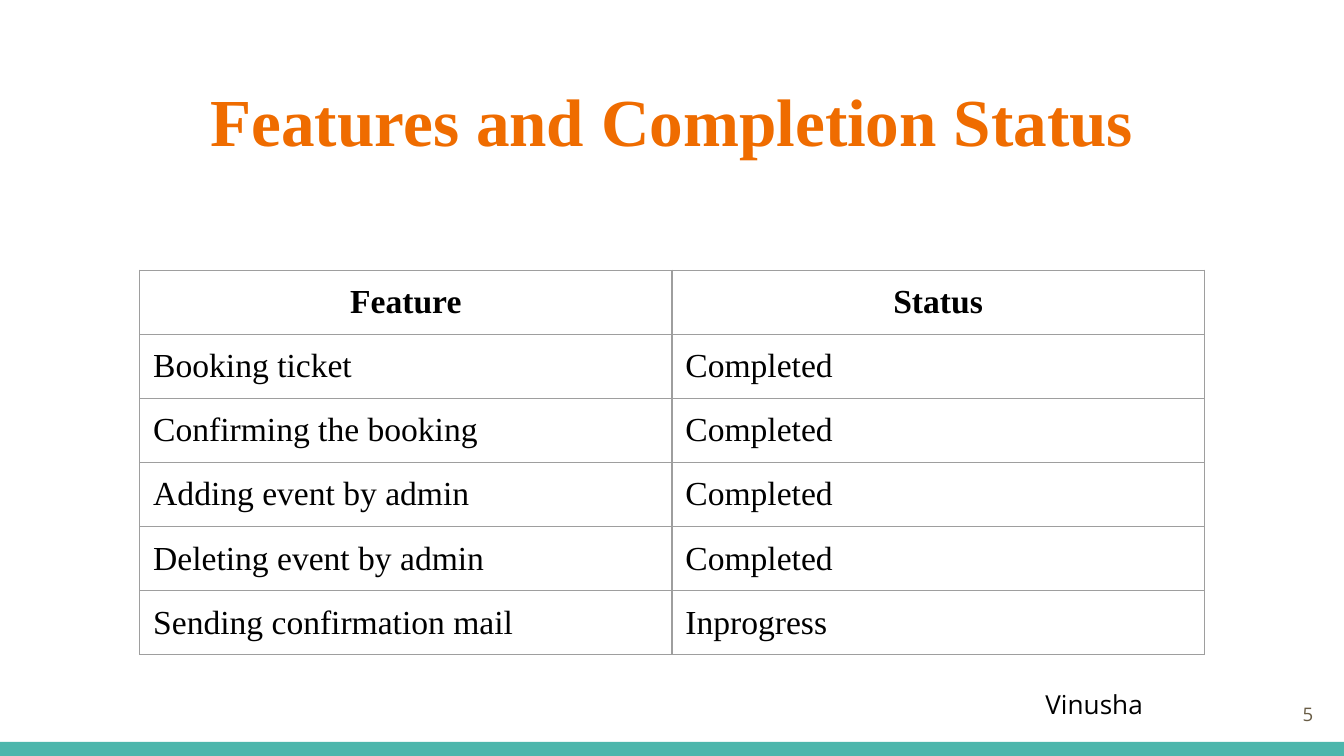
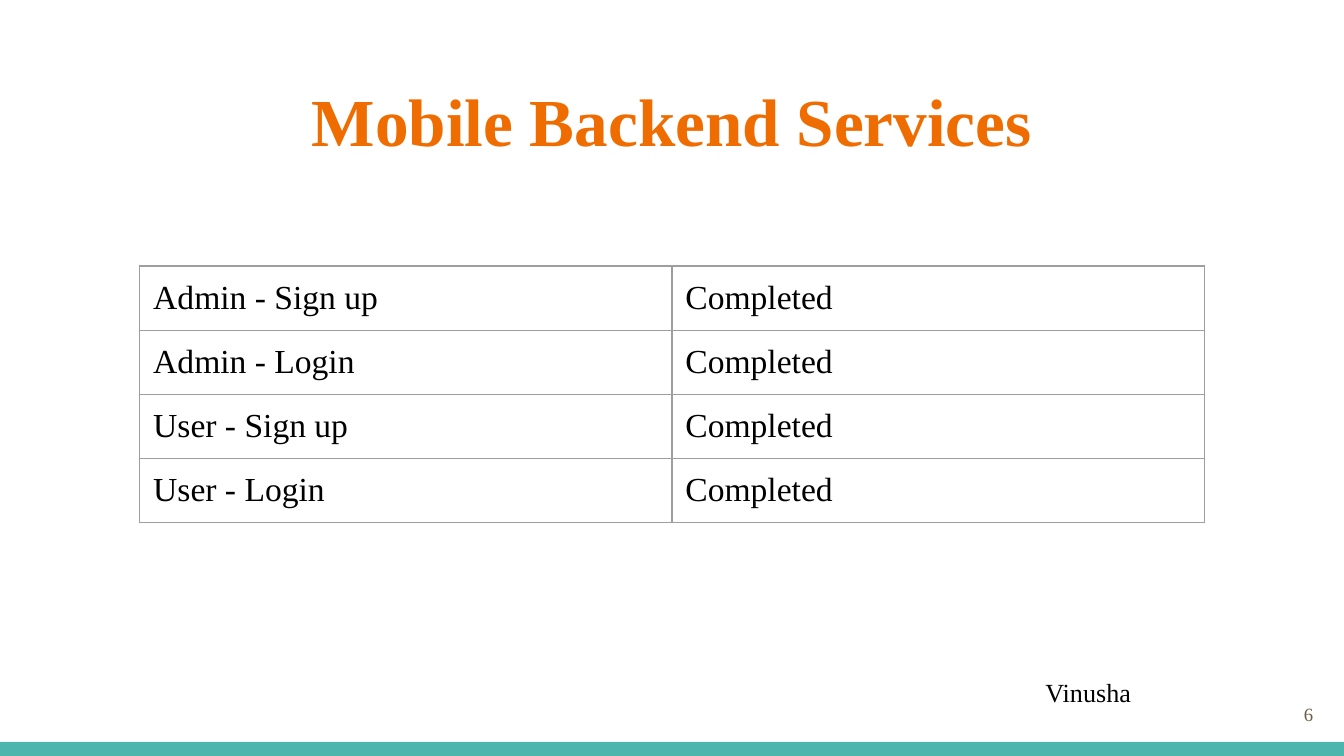
from dataclasses import dataclass

from lxml.etree import SubElement
from pptx import Presentation
from pptx.dml.color import RGBColor
from pptx.enum.shapes import MSO_SHAPE
from pptx.enum.text import MSO_ANCHOR, MSO_AUTO_SIZE, PP_ALIGN
from pptx.oxml.ns import qn
from pptx.util import Inches, Pt

SLIDES = [
    {
        "title": "Features and Completion Status",
        "header": ("Feature", "Status"),
        "rows": [
            ("Booking ticket", "Completed"),
            ("Confirming the booking", "Completed"),
            ("Adding event by admin", "Completed"),
            ("Deleting event by admin", "Completed"),
            ("Sending confirmation mail", "Inprogress"),
        ],
        "table_top": 2.01,
        "row_height": 0.44,
        "author": "Vinusha",
        "author_top": 5.02,
        "number": "5",
        "footer_font": "Open Sans",
    },
    {
        "title": "Mobile Backend Services",
        "header": None,
        "rows": [
            ("Admin - Sign up", "Completed"),
            ("Admin - Login", "Completed"),
            ("User - Sign up", "Completed"),
            ("User - Login", "Completed"),
        ],
        "table_top": 1.98,
        "row_height": 0.42,
        "author": "Vinusha",
        "author_top": 4.93,
        "number": "6",
        "footer_font": "Times New Roman",
    },
]


@dataclass(frozen=True)
class Theme:
    font: str = "Times New Roman"
    accent: str = "EF6C00"
    band: str = "4DB6AC"
    text: str = "000000"
    muted: str = "695D46"
    border: str = "9E9E9E"
    title_size: int = 36
    table_size: int = 18
    author_size: int = 14
    number_size: int = 10
    border_width: float = 0.75


THEME = Theme()
WIDTH = 10
HEIGHT = WIDTH * 9 / 16
BAND_TOP = 5.52
TITLE_BOX = (0.34, 0.49, 9.32, 0.77)
TABLE_LEFT, COLUMN_WIDTH = 1.04, 3.96
AUTHOR_LEFT, AUTHOR_SIZE = 7.68, (1.98, 0.34)
NUMBER_BOX = (9.27, 5.1, 0.6, 0.43)
INSET = Inches(0.1)


def place(shape, left, top, width, height):
    shape.left, shape.top = Inches(left), Inches(top)
    shape.width, shape.height = Inches(width), Inches(height)


def write(frame, text, size, color=THEME.text, font=THEME.font, bold=False,
          align=PP_ALIGN.LEFT):
    paragraph = frame.paragraphs[0]
    paragraph.alignment = align
    run = paragraph.add_run()
    run.text = text
    run.font.name = font
    run.font.size = Pt(size)
    run.font.bold = bold
    run.font.color.rgb = RGBColor.from_string(color)


def set_up_frame(frame, anchor=MSO_ANCHOR.TOP):
    frame.word_wrap = True
    frame.auto_size = MSO_AUTO_SIZE.NONE
    frame.vertical_anchor = anchor
    frame.margin_left = frame.margin_right = INSET
    frame.margin_top = frame.margin_bottom = INSET


def add_text(slide, box, text, size, anchor=MSO_ANCHOR.TOP, **style):
    frame = slide.shapes.add_textbox(*map(Inches, box)).text_frame
    set_up_frame(frame, anchor)
    write(frame, text, size, **style)


def add_title(slide, text):
    title = slide.shapes.title
    place(title, *TITLE_BOX)
    set_up_frame(title.text_frame)
    write(title.text_frame, text, THEME.title_size, color=THEME.accent,
          bold=True, align=PP_ALIGN.CENTER)


def format_cell(cell):
    cell.margin_left = cell.margin_right = INSET
    cell.margin_top = cell.margin_bottom = INSET
    properties = cell._tc.get_or_add_tcPr()
    for side in ("a:lnL", "a:lnR", "a:lnT", "a:lnB"):
        line = SubElement(properties, qn(side), w=str(Pt(THEME.border_width)))
        fill = SubElement(line, qn("a:solidFill"))
        SubElement(fill, qn("a:srgbClr"), val=THEME.border)
    cell.fill.background()


def add_status_table(slide, header, rows, top, row_height):
    lines = ([header] if header else []) + rows
    columns = len(rows[0])
    table = slide.shapes.add_table(
        len(lines), columns, Inches(TABLE_LEFT), Inches(top),
        Inches(columns * COLUMN_WIDTH), Inches(len(lines) * row_height)).table
    table.first_row = table.horz_banding = False
    for column in table.columns:
        column.width = Inches(COLUMN_WIDTH)
    for row, values in zip(table.rows, lines):
        row.height = Inches(row_height)
        is_header = values is header
        for cell, text in zip(row.cells, values):
            format_cell(cell)
            write(cell.text_frame, text, THEME.table_size, bold=is_header,
                  align=PP_ALIGN.CENTER if is_header else PP_ALIGN.LEFT)


def move_band_to_layout(slide, layout):
    """Draw the bottom band, then move it to the layout the slides share."""
    band = slide.shapes.add_shape(MSO_SHAPE.RECTANGLE, 0, 0, 0, 0)
    place(band, 0, BAND_TOP, WIDTH, HEIGHT - BAND_TOP)
    band.shadow.inherit = False
    band.fill.solid()
    band.fill.fore_color.rgb = RGBColor.from_string(THEME.band)
    band.line.fill.background()
    layout.shapes.element.append(band.element)


def main():
    presentation = Presentation()
    presentation.slide_width = Inches(WIDTH)
    presentation.slide_height = Inches(HEIGHT)
    layout = presentation.slide_layouts.get_by_name("Title Only")

    for content in SLIDES:
        slide = presentation.slides.add_slide(layout)
        font = content["footer_font"]
        add_title(slide, content["title"])
        add_status_table(slide, content["header"], content["rows"],
                         content["table_top"], content["row_height"])
        add_text(slide, (AUTHOR_LEFT, content["author_top"], *AUTHOR_SIZE),
                 content["author"], THEME.author_size, font=font)
        add_text(slide, NUMBER_BOX, content["number"], THEME.number_size,
                 anchor=MSO_ANCHOR.MIDDLE, color=THEME.muted, font=font,
                 align=PP_ALIGN.RIGHT)

    move_band_to_layout(presentation.slides[0], layout)
    presentation.save("out.pptx")


if __name__ == "__main__":
    main()
